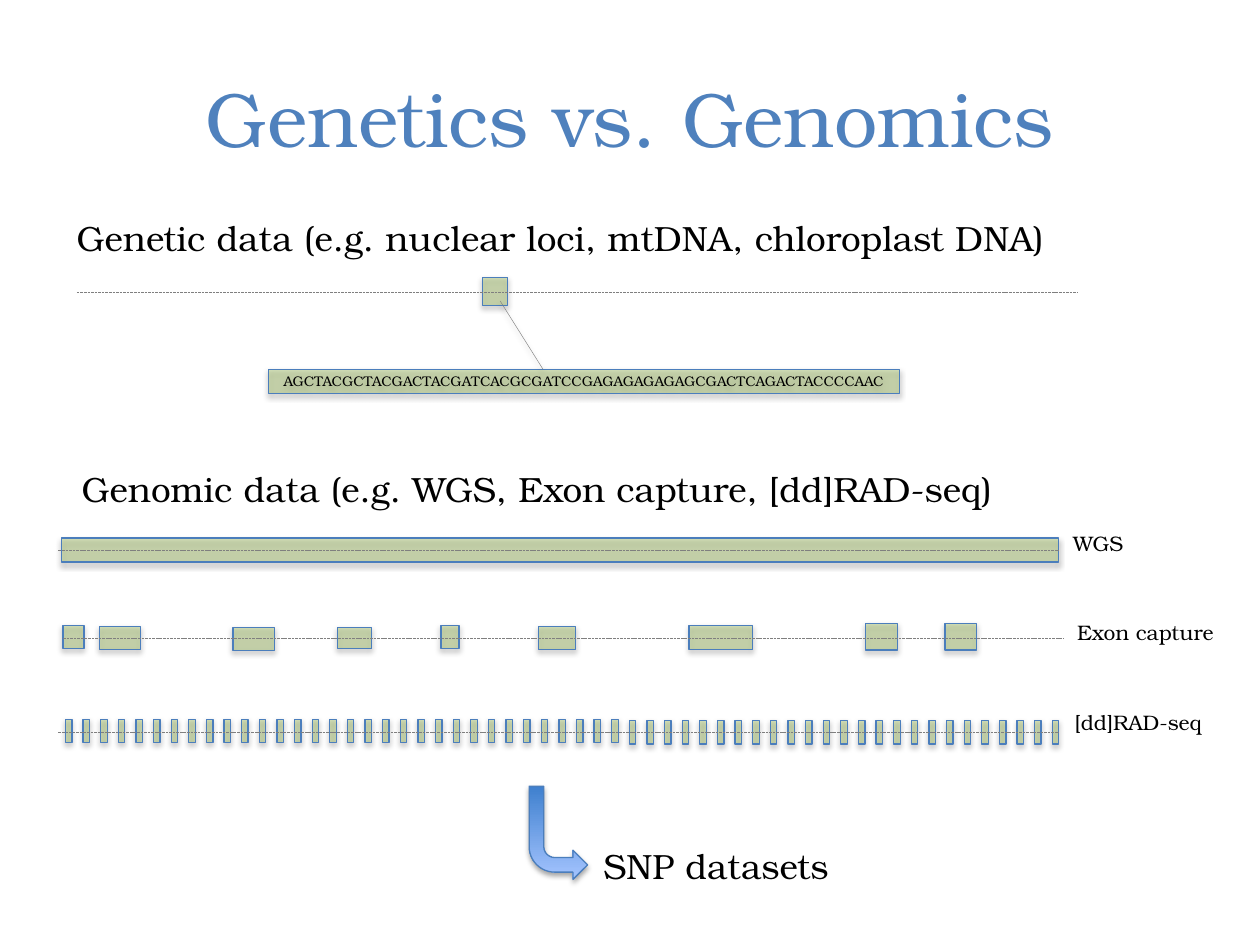
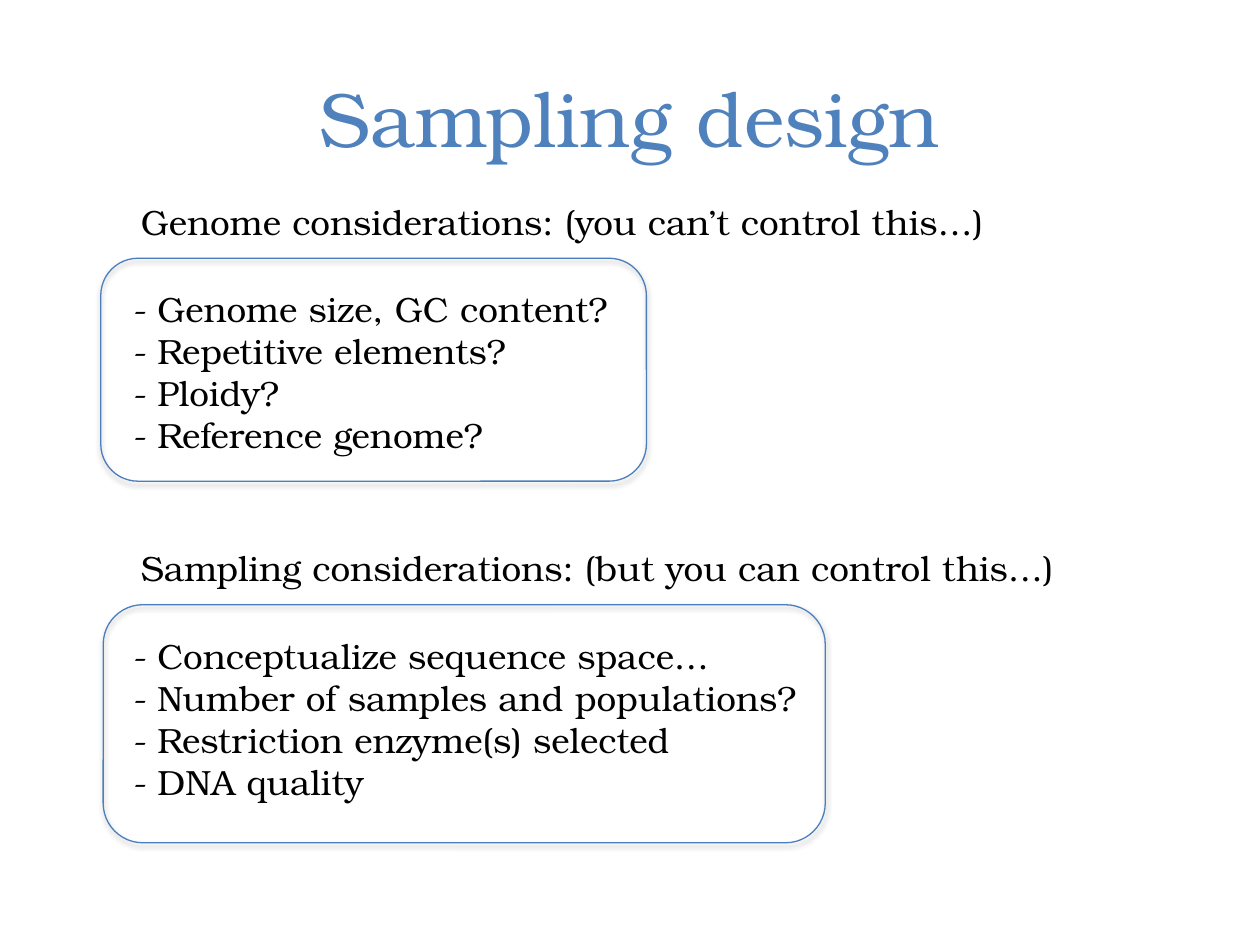
from lxml import etree
from pptx import Presentation
from pptx.dml.color import RGBColor
from pptx.enum.dml import MSO_LINE
from pptx.enum.shapes import MSO_CONNECTOR, MSO_SHAPE
from pptx.enum.text import MSO_ANCHOR, MSO_AUTO_SIZE, PP_ALIGN
from pptx.oxml.ns import qn
from pptx.util import Pt

rgb = RGBColor.from_string
FONT = "TeX Gyre Bonum"
BLACK, TITLE_BLUE, EDGE_BLUE = "000000", "4F81BD", "4B7EBC"
GREEN, GREY, DASH_GREY = "9BBB59", "808080", "7F7F7F"


def outline(sp, color, width, opacity=35, dist=1.8):
    sp.line.color.rgb = rgb(color)
    sp.line.width = Pt(width)
    effects = etree.SubElement(sp._element.spPr, qn("a:effectLst"))
    shadow = etree.SubElement(effects, qn("a:outerShdw"), blurRad=str(Pt(3.1)),
                              dist=str(Pt(dist)), dir="5400000", rotWithShape="0")
    clr = etree.SubElement(shadow, qn("a:srgbClr"), val=BLACK)
    etree.SubElement(clr, qn("a:alpha"), val=str(opacity * 1000))


def write(sp, lines, size=20, color=BLACK, align=PP_ALIGN.LEFT,
          anchor=MSO_ANCHOR.TOP, wrap=False, bullets=False):
    tf = sp.text_frame
    tf.word_wrap = wrap
    tf.vertical_anchor = anchor
    tf.auto_size = MSO_AUTO_SIZE.NONE if anchor == MSO_ANCHOR.MIDDLE else MSO_AUTO_SIZE.SHAPE_TO_FIT_TEXT
    for i, line in enumerate(lines):
        p = tf.add_paragraph() if i else tf.paragraphs[0]
        p.alignment = align
        if bullets:
            pPr = p._p.get_or_add_pPr()
            pPr.set("marL", str(Pt(13.7)))
            pPr.set("indent", str(-Pt(13.7)))
            etree.SubElement(pPr, qn("a:buFont"), typeface=FONT)
            etree.SubElement(pPr, qn("a:buChar"), char="-")
        r = p.add_run()
        r.text = line
        r.font.name = FONT
        r.font.size = Pt(size)
        r.font.color.rgb = rgb(color)


prs = Presentation()
prs.slide_width, prs.slide_height = Pt(720), Pt(540)
slides = []
for title in ["Genetics vs. Genomics", "Sampling design"]:
    s = prs.slides.add_slide(prs.slide_layouts[6])
    tb = s.shapes.add_textbox(Pt(36), Pt(21.6), Pt(648), Pt(90))
    write(tb, [title], 44, TITLE_BLUE, PP_ALIGN.CENTER, MSO_ANCHOR.MIDDLE, wrap=True)
    slides.append(s)
genomics, sampling = slides

locus = (275.8, 158.4, 14.4, 16.2)
sequence = (153.4, 211, 360.7, 13.7)
wgs = (35.3, 307.5, 569.5, 13.7)
exons = [
    (36, 357.3, 12, 13.5), (56.9, 358, 23.6, 13), (133.2, 358.6, 23.8, 13),
    (193, 358.6, 19.4, 12.2), (252, 357.3, 10.3, 13.5), (307.6, 358, 21.4, 13),
    (393.8, 357.3, 36.4, 13.7), (494.6, 356.4, 18.4, 15.1), (540, 356.4, 18.2, 15.1),
]
rad_tags = [(37.4 + 10.07 * i, 411 if i < 32 else 411.8, 3.7, 13.5) for i in range(57)]

for box in [locus, sequence, wgs, *exons, *rad_tags]:
    sp = genomics.shapes.add_shape(MSO_SHAPE.RECTANGLE, *map(Pt, box))
    sp.fill.solid()
    sp.fill.fore_color.rgb = rgb(GREEN)
    clr = sp._element.spPr.find(".//" + qn("a:srgbClr"))
    etree.SubElement(clr, qn("a:alpha"), val="40000")
    outline(sp, EDGE_BLUE, 0.75)
    if box == sequence:
        write(sp, ["AGCTACGCTACGACTACGATCACGCGATCCGAGAGAGAGAGCGACTCAGACTACCCCAAC"],
              8, align=PP_ALIGN.CENTER, anchor=MSO_ANCHOR.MIDDLE)

for x, y in [(43.9, 167), (33.4, 314.6), (36, 365), (33.4, 418.8)]:
    strand = genomics.shapes.add_connector(MSO_CONNECTOR.STRAIGHT, Pt(x), Pt(y), Pt(x + 572), Pt(y))
    outline(strand, DASH_GREY, 0.5, 38, 1.6)
    strand.line.dash_style = MSO_LINE.SQUARE_DOT
callout = genomics.shapes.add_connector(MSO_CONNECTOR.STRAIGHT, Pt(285.8), Pt(172), Pt(310.3), Pt(211))
outline(callout, GREY, 0.25, 38, 1.6)

arrow = genomics.shapes.add_shape(MSO_SHAPE.BENT_ARROW, Pt(302.4), Pt(449.3), Pt(33.4), Pt(53.3))
arrow._element.spPr.find(qn("a:xfrm")).set("flipV", "1")
arrow.fill.gradient()
arrow.fill.gradient_angle = 90
for stop, color in zip(arrow.fill.gradient_stops, ["3F80CE", "A4C4FF"]):
    stop.color.rgb = rgb(color)
outline(arrow, EDGE_BLUE, 0.75)

for x, y, w, h, size, label in [
    (36.7, 120.2, 572.4, 31.5, 20, "Genetic data (e.g. nuclear loci, mtDNA, chloroplast DNA)"),
    (39.6, 263.5, 540, 31.5, 20, "Genomic data (e.g. WGS, Exon capture, [dd]RAD-seq)"),
    (337.7, 478.8, 144.7, 31.5, 20, "SNP datasets"),
    (606.2, 299.5, 43.9, 21.6, 12, "WGS"),
    (608.4, 350.6, 94.3, 21.6, 12, "Exon capture"),
    (607, 401.8, 87.8, 21.6, 12, "[dd]RAD-seq"),
]:
    write(genomics.shapes.add_textbox(Pt(x), Pt(y), Pt(w), Pt(h)), [label], size)

for heading, heading_y, frame, body, anchor, items in [
    ("Genome considerations: (you can’t control this…)", 110.9,
     (57.6, 147.6, 311.8, 127.4), (69.1, 160.6, 360, 128.2), MSO_ANCHOR.TOP,
     ["Genome size, GC content?", "Repetitive elements?", "Ploidy?", "Reference genome?"]),
    ("Sampling considerations: (but you can control this…)", 308.9,
     (59, 345.6, 412.6, 136), (69.1, 345.6, 425.5, 130.3), MSO_ANCHOR.MIDDLE,
     ["Conceptualize sequence space…", "Number of samples and populations?",
      "Restriction enzyme(s) selected", "DNA quality"]),
]:
    sp = sampling.shapes.add_shape(MSO_SHAPE.ROUNDED_RECTANGLE, *map(Pt, frame))
    sp.fill.background()
    outline(sp, EDGE_BLUE, 0.75)
    write(sampling.shapes.add_textbox(*map(Pt, body)), items, anchor=anchor, wrap=True, bullets=True)
    tb = sampling.shapes.add_textbox(Pt(73.4), Pt(heading_y), Pt(610), Pt(31.5))
    write(tb, [heading], wrap=True)

prs.save("out.pptx")
